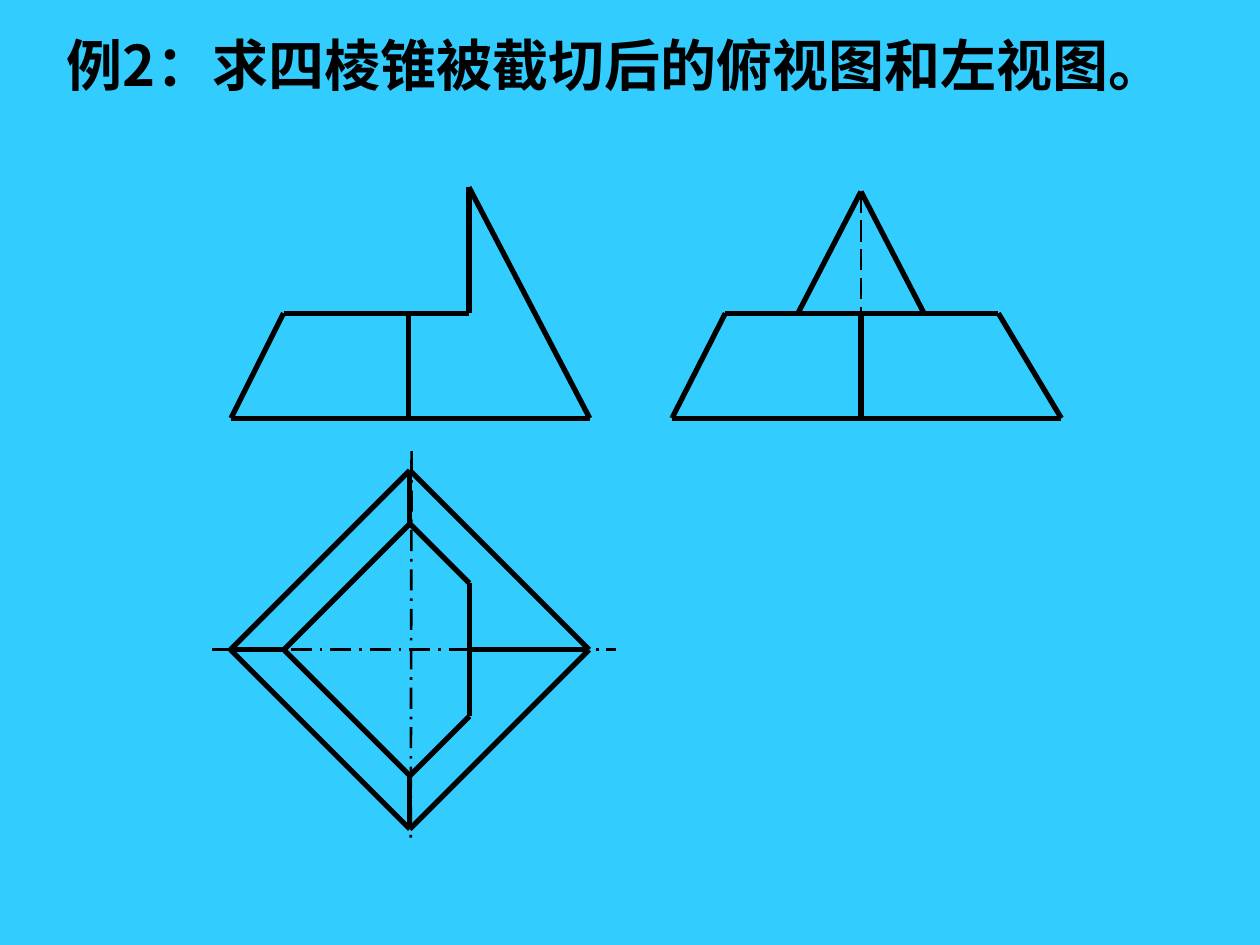
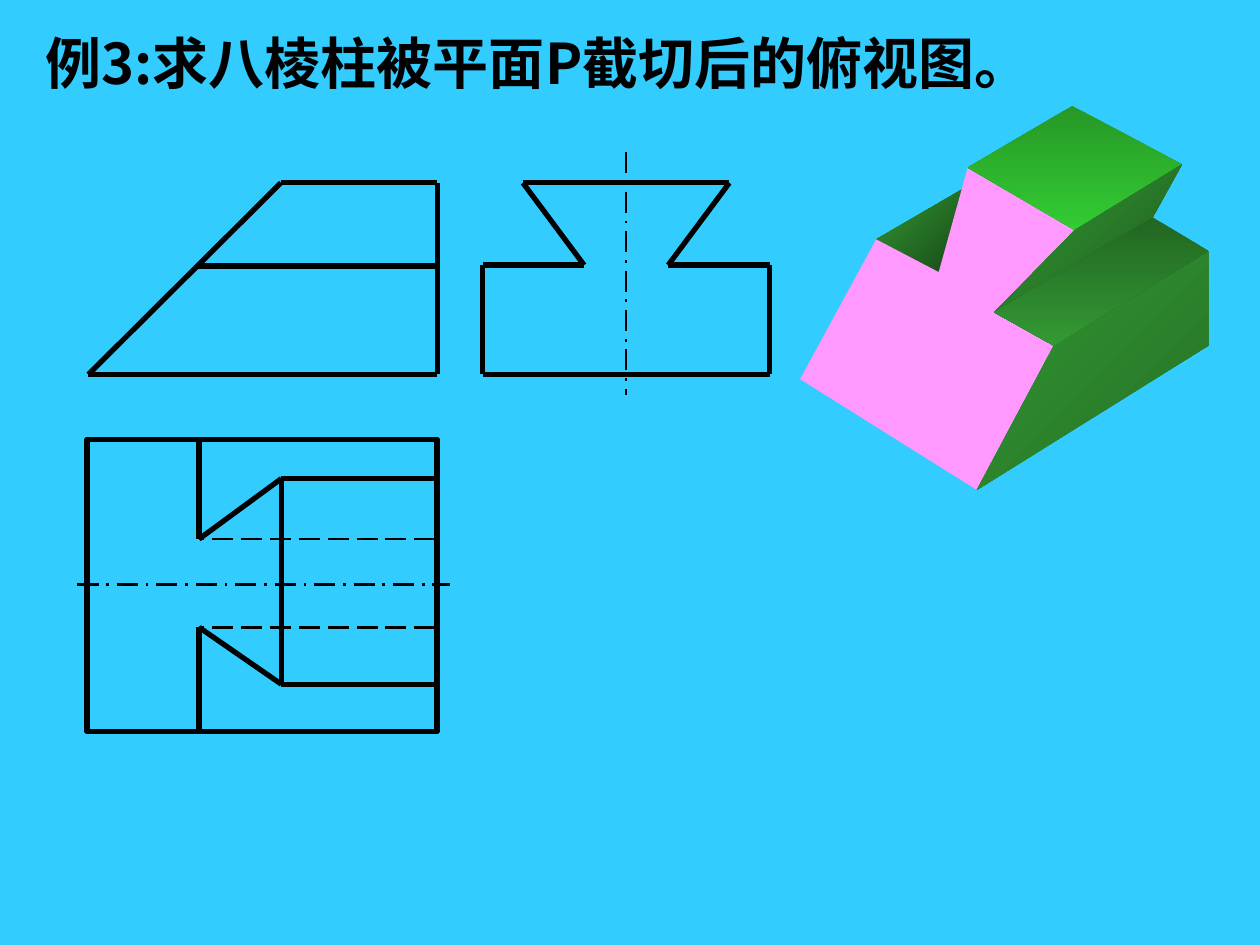
from dataclasses import dataclass
from itertools import pairwise

from lxml import etree
from pptx import Presentation
from pptx.dml.color import RGBColor
from pptx.enum import dml, shapes, text
from pptx.oxml.ns import qn
from pptx.util import Pt


@dataclass(frozen=True)
class Theme:
    background: str = "33CCFF"
    ink: str = "000000"
    cut_face: str = "FF99FF"
    groove: tuple = ("339933", "184718", 45)
    top_face: tuple = ("269826", "33CC33", 90)
    dovetail: tuple = ("339933", "1F5D1F", 45)
    right_face: tuple = ("339933", "256F25", 45)
    shoulder: tuple = ("226622", "339933", 90)
    font: str = "Noto Sans CJK SC"
    title_size: float = 32
    title_leading: float = 38.3


THEME = Theme()
INK = RGBColor.from_string(THEME.ink)
EDGE = {"width": Pt(3)}
HIDDEN = {"width": Pt(1.5), "dash_style": dml.MSO_LINE.LONG_DASH}
CENTRE = {"width": Pt(1.5), "dash_style": dml.MSO_LINE.LONG_DASH_DOT}


def set_all(target, values):
    for name, value in values.items():
        setattr(target, name, value)


def ink_line(line, style):
    line.color.rgb = INK
    set_all(line, style)


def draw_path(slide, origin, points, style=EDGE, closed=False):
    """Join points, given relative to origin, with straight connectors."""
    x0, y0 = origin
    if closed:
        points = [*points, points[0]]
    for (x1, y1), (x2, y2) in pairwise(points):
        line = slide.shapes.add_connector(
            shapes.MSO_CONNECTOR.STRAIGHT,
            Pt(x0 + x1), Pt(y0 + y1), Pt(x0 + x2), Pt(y0 + y2))
        ink_line(line.line, style)
        etree.SubElement(line._element.spPr, qn("a:effectLst"))


def draw_face(slide, origin, points, paint):
    """Fill a polygon with one colour or with (start, end, clockwise angle)."""
    corners = [(Pt(origin[0] + x), Pt(origin[1] + y)) for x, y in points]
    builder = slide.shapes.build_freeform(*corners[0], scale=1.0)
    builder.add_line_segments(corners[1:], close=True)
    sp = builder.convert_to_shape()
    sp.shadow.inherit = False
    sp.line.fill.background()
    if isinstance(paint, str):
        sp.fill.solid()
        sp.fill.fore_color.rgb = RGBColor.from_string(paint)
        return
    *colours, angle = paint
    sp.fill.gradient()
    sp.fill.gradient_angle = 360 - angle
    for stop, colour in zip(sp.fill.gradient_stops, colours):
        stop.color.rgb = RGBColor.from_string(colour)


def add_titled_slide(prs, title, left, top, width):
    slide = prs.slides.add_slide(prs.slide_layouts.get_by_name("Title Only"))
    sp = slide.shapes.title
    set_all(sp, {"left": Pt(left), "top": Pt(top),
                 "width": Pt(width), "height": Pt(84)})
    tf = sp.text_frame
    set_all(tf, {"word_wrap": True, "auto_size": text.MSO_AUTO_SIZE.NONE,
                 "vertical_anchor": text.MSO_ANCHOR.TOP})
    p = tf.paragraphs[0]
    set_all(p, {"alignment": text.PP_ALIGN.LEFT,
                "line_spacing": Pt(THEME.title_leading)})
    r = p.add_run()
    r.text = title
    set_all(r.font, {"name": THEME.font, "size": Pt(THEME.title_size),
                     "bold": True})
    r.font.color.rgb = INK
    east_asian = etree.Element(qn("a:ea"), typeface=THEME.font)
    r._r.rPr.find(qn("a:latin")).addnext(east_asian)
    return slide


def pyramid_front_view(slide, origin):
    base, cut = 132, 72
    draw_path(slide, origin, [(0, base), (30, cut), (136, cut), (136, 0),
                              (205, base)], closed=True)
    draw_path(slide, origin, [(101.5, cut), (101.5, base)])


def pyramid_left_view(slide, origin):
    base, cut, axis = 129.5, 69.5, 108
    draw_path(slide, origin, [(axis, 0), (axis, cut)], HIDDEN)
    draw_path(slide, origin, [(0, base), (30.5, cut), (186.5, cut),
                              (222.5, base)], closed=True)
    draw_path(slide, origin, [(axis - 36, cut), (axis, 0), (axis + 36, cut)])
    draw_path(slide, origin, [(axis, cut), (axis, base)])


def pyramid_top_view(slide, centre):
    outer, inner, cut = 102.5, 72, 34
    draw_path(slide, centre, [(-113, 0), (118, 0)], CENTRE)
    draw_path(slide, centre, [(1, -113.5), (0.5, 110)], CENTRE)
    draw_path(slide, centre, [(-outer, 0), (0, -outer), (outer, 0),
                              (0, outer)], closed=True)
    draw_path(slide, centre, [(-inner, 0), (0, -inner), (cut, cut - inner),
                              (cut, inner - cut), (0, inner)], closed=True)
    for dx, dy, start in [(-1, 0, inner), (0, -1, inner),
                          (0, 1, inner), (1, 0, cut)]:
        draw_path(slide, centre, [(dx * start, dy * start),
                                  (dx * outer, dy * outer)])


def prism_front_view(slide, origin):
    right, base, shoulder = 199.5, 109.5, 47.5
    draw_path(slide, origin, [(0, base), (110, 0), (right, 0),
                              (right, base)], closed=True)
    draw_path(slide, origin, [(62, shoulder), (right, shoulder)])


def prism_left_view(slide, top_centre):
    half = [(59, 0), (24, 47), (82, 47), (82, 109.5)]
    mirrored = [(-x, y) for x, y in reversed(half)]
    draw_path(slide, top_centre, [(0, -17.5), (0, 121.5)], CENTRE)
    draw_path(slide, top_centre, half + mirrored, closed=True)


def prism_top_view(slide, origin):
    width, height, neck, cut = 200, 167, 64, 111
    sp = slide.shapes.add_shape(shapes.MSO_SHAPE.RECTANGLE,
                                *map(Pt, (*origin, width, height)))
    sp.shadow.inherit = False
    sp.fill.background()
    ink_line(sp.line, EDGE)
    draw_path(slide, origin, [(-5.5, 83), (207.5, 83)], CENTRE)
    for side, neck_y, top_y in [(0, 57, 22.5), (height, 107.5, 140)]:
        draw_path(slide, origin, [(width - 1, neck_y), (neck, neck_y)], HIDDEN)
        draw_path(slide, origin, [(neck, side), (neck, neck_y), (cut, top_y),
                                  (width, top_y)])
    draw_path(slide, origin, [(cut, 22.5), (cut, 140)])


def prism_solid(slide, origin):
    top_left, top_front, top_right, top_back = (
        (95.8, 35.3), (157, 71), (218.2, 33.5), (155.5, 0))
    neck_left, neck_right, neck_back = (79.2, 95), (110.9, 118), (201.5, 63.7)
    left, right, right_back = (43.5, 76.3), (145, 137), (233.3, 83)
    base_left, base_right, base_back = (0, 156.2), (101, 219.5), (233.3, 137)
    faces = [
        ([left, neck_left, (94.3, 46.8)], THEME.groove),
        ([left, neck_left, top_left, top_front, neck_right, right,
          base_right, base_left], THEME.cut_face),
        ([top_left, top_front, top_right, top_back], THEME.top_face),
        ([top_front, neck_right, neck_back, top_right], THEME.dovetail),
        ([right, base_right, base_back, right_back], THEME.right_face),
        ([neck_right, neck_back, right_back, right], THEME.shoulder),
    ]
    for points, paint in faces:
        draw_face(slide, origin, points, paint)


def pyramid_slide(prs):
    slide = add_titled_slide(prs, "例2：求四棱锥被截切后的俯视图和左视图。",
                             31, 13.7, 656.6)
    pyramid_front_view(slide, (132, 107))
    pyramid_left_view(slide, (384, 109.5))
    pyramid_top_view(slide, (234.2, 371.3))


def prism_slide(prs):
    slide = add_titled_slide(prs, "例3:求八棱柱被平面P截切后的俯视图。",
                             18.7, 13, 605.5)
    prism_front_view(slide, (50.5, 104.5))
    prism_left_view(slide, (357.8, 104.5))
    prism_top_view(slide, (49.8, 251))
    prism_solid(slide, (457.2, 60.5))


def main():
    prs = Presentation()
    set_all(prs, {"slide_width": Pt(720), "slide_height": Pt(540)})
    fill = prs.slide_master.background.fill
    fill.solid()
    fill.fore_color.rgb = RGBColor.from_string(THEME.background)
    pyramid_slide(prs)
    prism_slide(prs)
    prs.save("out.pptx")


if __name__ == "__main__":
    main()
